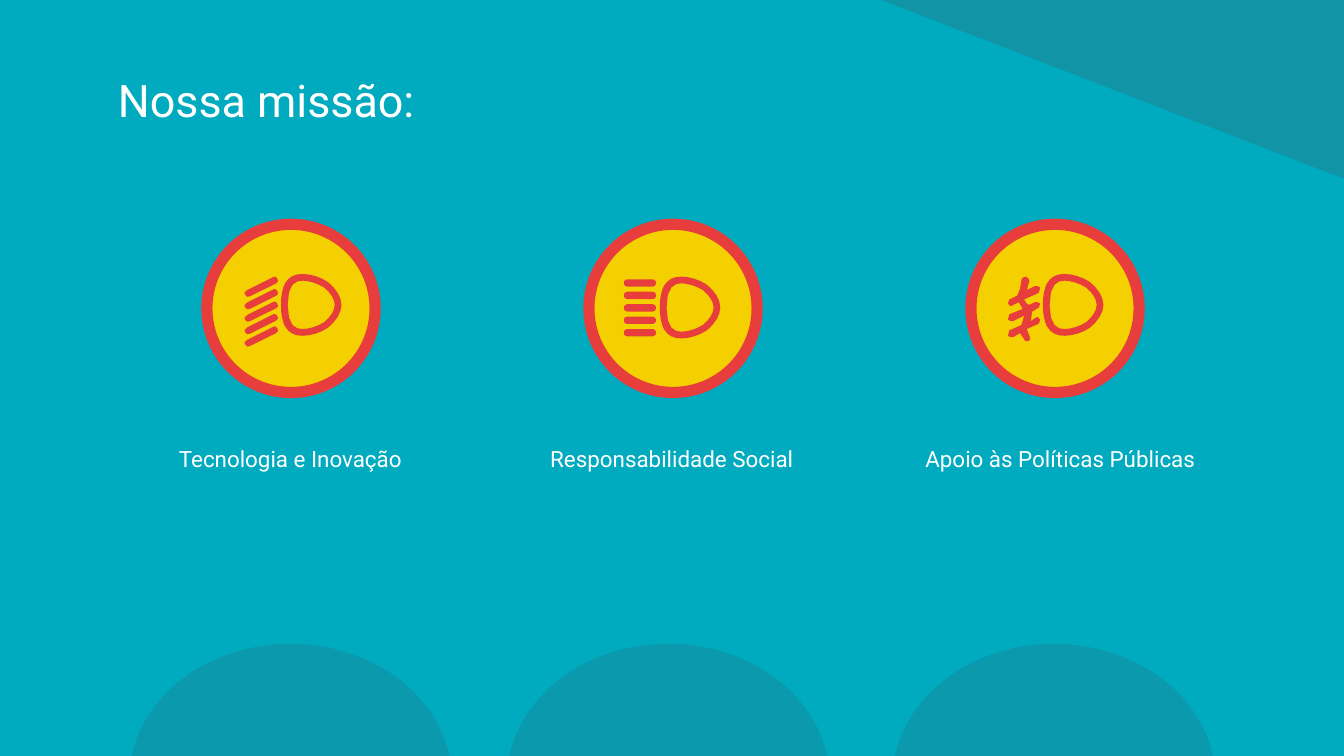
from lxml import etree
from pptx import Presentation
from pptx.dml.color import RGBColor
from pptx.enum.shapes import MSO_SHAPE
from pptx.enum.text import MSO_ANCHOR, MSO_AUTO_SIZE, PP_ALIGN
from pptx.oxml.ns import qn
from pptx.util import Cm, Pt

OVAL = MSO_SHAPE.OVAL
WEDGE = MSO_SHAPE.RIGHT_TRIANGLE
PILL = MSO_SHAPE.ROUNDED_RECTANGLE
MIDDLE = MSO_ANCHOR.MIDDLE
TOP = MSO_ANCHOR.TOP
LEFT = PP_ALIGN.LEFT
CENTER = PP_ALIGN.CENTER
FIXED = MSO_AUTO_SIZE.NONE

COLORS = {"back": "00ABBF", "shade": "336574", "disc": "F4D000",
          "mark": "E83D3D", "text": "FFFFFF"}
FONT = "Roboto"
UNIT = Cm(2.54) / 100
STEPS = 4
PITCH = 0.94 / 4

RIM = [(16, 0), (10, 0, 6, 2, 3, 7), (1, 11, 0, 16, 0, 23),
       (0, 30, 1, 35, 3, 39), (6, 44, 10, 46, 16, 46),
       (22, 46, 29, 44, 35, 40), (41, 35, 45, 29, 45, 23),
       (45, 17, 41, 11, 35, 6), (29, 2, 22, 0, 16, 0)]
HOLE = [(16, 5), (21, 5, 27, 7, 32, 10), (37, 14, 40, 19, 40, 23),
        (40, 27, 37, 32, 32, 36), (27, 39, 21, 41, 16, 41),
        (11, 41, 5, 39, 5, 23), (5, 7, 11, 5, 16, 5)]
SLANT = [(22, 0), (21, 0.5), (2, 10), (0, 12), (0.5, 13.5), (2, 15),
         (4, 14.7), (23.5, 5), (25, 3.5), (24.6, 1.7), (23.5, 0.3)]
FOG = [(13, 0), (10.5, 1), (10, 3), (9, 9), (7, 14), (1, 17), (0, 20),
       (2, 22), (4, 21), (8, 19), (11, 24), (1, 28), (0, 32), (2, 33),
       (4, 33), (12, 29), (11, 33), (10, 36), (1, 40), (0, 44), (2, 45),
       (4, 45), (9, 42), (13, 48), (15, 48), (16.5, 47), (16, 44),
       (14, 39), (23, 35), (24, 32), (22, 30), (20, 31), (17, 33),
       (18, 26), (23, 23), (24, 20), (22, 19), (20, 19), (16, 21),
       (14, 20), (12, 17), (23, 12), (24, 8), (22, 7), (20, 7),
       (14, 10), (16, 3), (15, 1)]


def color(key):
    return RGBColor.from_string(COLORS[key])


def paint(shape, key):
    shape.shadow.inherit = False
    shape.fill.solid()
    shape.fill.fore_color.rgb = color(key)
    shape.line.fill.background()


def add_shape(shapes, kind, box, key):
    shape = shapes.add_shape(kind, *map(Cm, box))
    paint(shape, key)
    return shape


def add_shade(slide, kind, box, alpha):
    shape = add_shape(slide.shapes, kind, box, "shade")
    tint = next(shape._element.spPr.iter(qn("a:srgbClr")))
    etree.SubElement(tint, qn("a:alpha"), val=str(alpha * 1000))
    return shape


def add_disc(slide, left):
    disc = add_shape(slide.shapes, OVAL, (left, 4.24, 3.18, 3.18), "disc")
    disc.line.color.rgb = color("mark")
    disc.line.width = Pt(6)


def trace(parts):
    points = [parts[0]]
    for part in parts[1:]:
        if len(part) == 2:
            points.append(part)
            continue
        nodes = [points[-1], part[:2], part[2:4], part[4:]]
        for step in range(1, STEPS + 1):
            t = step / STEPS
            rates = ((1 - t) ** 3, 3 * t * (1 - t) ** 2,
                     3 * t * t * (1 - t), t ** 3)
            points.append(tuple(sum(r * n[i] for r, n in zip(rates, nodes))
                                for i in (0, 1)))
    return [(x * UNIT, y * UNIT) for x, y in points]


def add_free(group, loops, left, top):
    first, *rest = [trace(loop) for loop in loops]
    pen = group.shapes.build_freeform(*first[0], scale=1.0)
    pen.add_line_segments(first[1:], close=True)
    for loop in rest:
        pen.move_to(*loop[0])
        pen.add_line_segments(loop[1:], close=True)
    paint(pen.convert_to_shape(Cm(left), Cm(top)), "mark")


def add_lamp(slide, left, top):
    group = slide.shapes.add_group_shape()
    add_free(group, [RIM, HOLE], left, top)
    return group


def add_icons(slide):
    low = add_lamp(slide, 5.31, 5.18)
    high = add_lamp(slide, 12.47, 5.23)
    for row in range(5):
        add_free(low, [SLANT], 4.62, 5.23 + row * PITCH)
        box = (11.79, 5.28 + row * PITCH, 0.61, 0.14)
        add_shape(high.shapes, PILL, box, "mark").adjustments[0] = 0.5
    add_free(add_lamp(slide, 19.71, 5.18), [FOG], 19.05, 5.23)


def set_text(shape, text, size, align, anchor):
    frame = shape.text_frame
    frame.text = text
    frame.word_wrap = True
    frame.auto_size = FIXED
    frame.vertical_anchor = anchor
    frame.margin_left = frame.margin_right = Cm(0.25)
    frame.margin_top = frame.margin_bottom = Cm(0.25)
    para = frame.paragraphs[0]
    para.alignment = align
    font = para.runs[0].font
    font.name = FONT
    font.size = Pt(size)
    font.color.rgb = color("text")
    return para


def add_title(slide, text):
    title = slide.shapes.title
    title.left, title.top = Cm(1.98), Cm(1.09)
    title.width, title.height = Cm(21.44), Cm(1.6)
    set_text(title, text, 24, LEFT, MIDDLE)


def add_label(slide, text, left):
    box = slide.shapes.add_textbox(Cm(left), Cm(8.08), Cm(7.72), Cm(1.19))
    set_text(box, text, 12, CENTER, TOP).line_spacing = 1.15


def main():
    deck = Presentation()
    deck.slide_width, deck.slide_height = Cm(25.4), Cm(14.29)
    slide = deck.slides.add_slide(deck.slide_layouts[5])
    slide.background.fill.solid()
    slide.background.fill.fore_color.rgb = color("back")

    for left in (2.44, 9.58, 16.87):
        add_shade(slide, OVAL, (left, 12.17, 6.1, 5.13), 23)
    add_shade(slide, WEDGE, (16.66, 0, 8.74, 3.38), 32).rotation = 180

    add_title(slide, "Nossa missão:")
    for col in range(3):
        add_disc(slide, 3.91 + col * 7.22)
    add_icons(slide)

    add_label(slide, "Tecnologia e Inovação", 1.63)
    add_label(slide, "Responsabilidade Social", 8.84)
    add_label(slide, "Apoio às Políticas Públicas", 16.18)
    deck.save("out.pptx")


if __name__ == "__main__":
    main()
